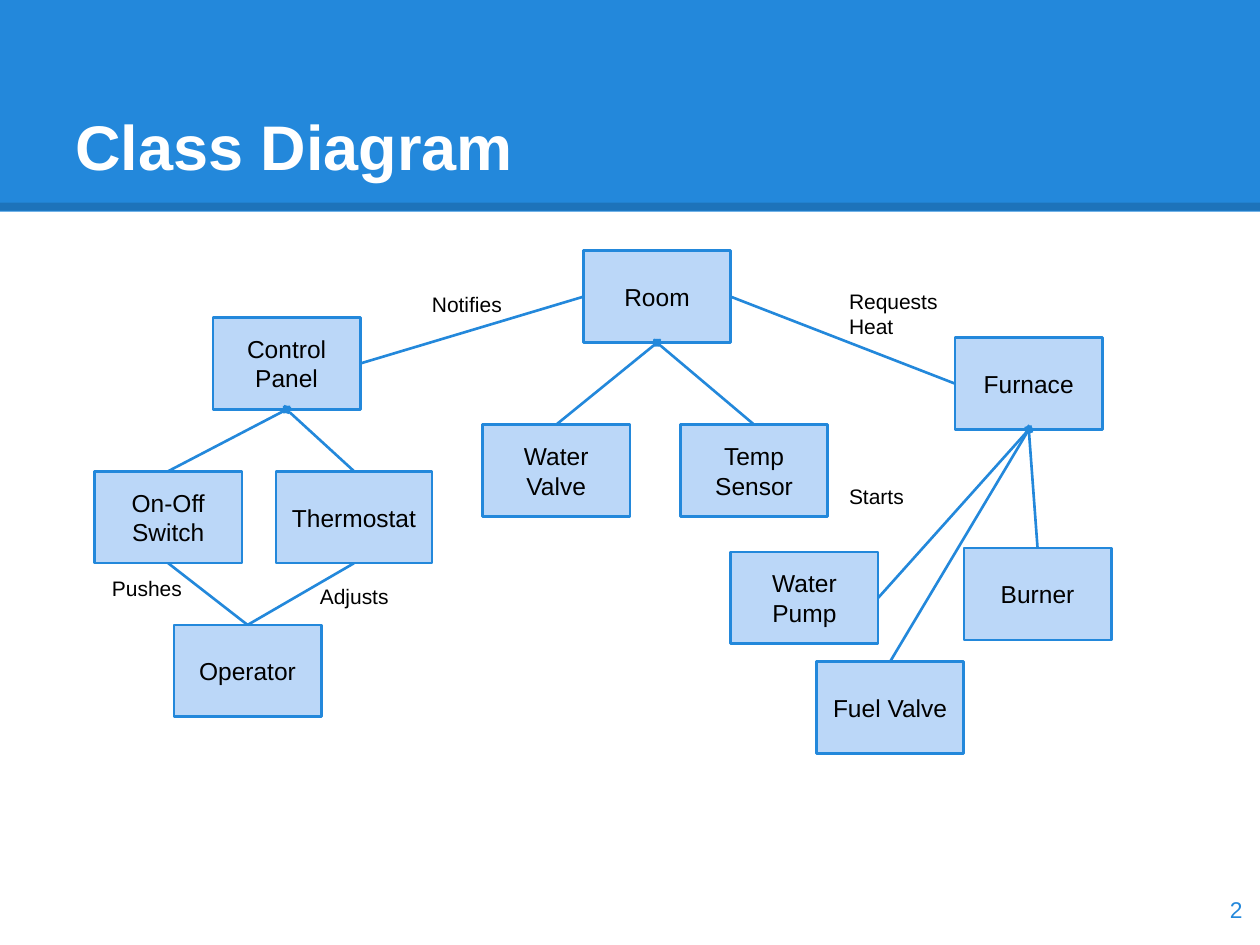
from lxml.etree import SubElement
from pptx import Presentation
from pptx.dml.color import RGBColor
from pptx.enum.shapes import MSO_CONNECTOR as Connector, MSO_SHAPE as Shape
from pptx.enum.text import MSO_ANCHOR as Anchor, PP_ALIGN as Align
from pptx.oxml.ns import qn
from pptx.util import Inches, Pt

WIDTH, HEIGHT = 10, 7.5
BLUE, PALE, BLACK, WHITE = "2388DB", "BBD7F8", "000000", "FFFFFF"
BOX_W, WIDE_W, BOX_H = 1.17, 1.24, 0.73
LABEL_W, LABEL_H = 0.94, 0.49
TOP, LEFT, BOTTOM, RIGHT = range(4)  # connection sites of a rectangle

# Classes: name, left, top, width
CLASSES = [
    ("Control Panel", 1.69, 2.52, BOX_W),
    ("On-Off Switch", 0.75, 3.74, BOX_W),
    ("Thermostat", 2.19, 3.74, WIDE_W),
    ("Room", 4.63, 1.99, BOX_W),
    ("Operator", 1.38, 4.96, BOX_W),
    ("Furnace", 7.58, 2.68, BOX_W),
    ("Water Pump", 5.8, 4.38, BOX_W),
    ("Burner", 7.65, 4.35, BOX_W),
    ("Fuel Valve", 6.48, 5.25, BOX_W),
    ("Temp Sensor", 5.4, 3.37, BOX_W),
    ("Water Valve", 3.83, 3.37, BOX_W),
]

# Whole and its parts, joined with a diamond at the whole
PARTS = {
    "Room": ["Water Valve", "Temp Sensor"],
    "Furnace": ["Fuel Valve", "Burner"],
    "Control Panel": ["On-Off Switch", "Thermostat"],
}

# Plain associations: class, site, class, site
ASSOCIATIONS = [
    ("Operator", TOP, "On-Off Switch", BOTTOM),
    ("Operator", TOP, "Thermostat", BOTTOM),
    ("Control Panel", RIGHT, "Room", LEFT),
    ("Room", RIGHT, "Furnace", LEFT),
    ("Water Pump", RIGHT, "Furnace", BOTTOM),
]

# Association labels: text, left, top
LABELS = [
    ("Pushes", 0.79, 4.47),
    ("Adjusts", 2.44, 4.53),
    ("Notifies", 3.33, 2.21),
    ("Requests Heat", 6.64, 2.19),
    ("Starts", 6.64, 3.74),
]


def color(value):
    return RGBColor.from_string(value)


def write(shape, text, size, ink=BLACK, bold=False, align=Align.LEFT, anchor=Anchor.TOP):
    frame = shape.text_frame
    layout = dict(word_wrap=True, vertical_anchor=anchor)
    layout |= {f"margin_{side}": Inches(0.1) for side in ("left", "top", "right", "bottom")}
    for key, value in layout.items():
        setattr(frame, key, value)
    paragraph = frame.paragraphs[0]
    paragraph.alignment = align
    run = paragraph.add_run()
    run.text = text
    for key, value in dict(name="Arial", size=Pt(size), bold=bold).items():
        setattr(run.font, key, value)
    run.font.color.rgb = color(ink)


def add_text(slide, area, text, size, **style):
    write(slide.shapes.add_textbox(*map(Inches, area)), text, size, **style)


def add_rect(slide, area, fill):
    rect = slide.shapes.add_shape(Shape.RECTANGLE, *map(Inches, area))
    rect.shadow.inherit = False
    rect.fill.solid()
    rect.fill.fore_color.rgb = color(fill)
    rect.line.fill.background()
    return rect


def add_line(slide, ink=BLUE, weight=1.5, ends=(0, 0, 0, 0)):
    line = slide.shapes.add_connector(Connector.STRAIGHT, *map(Inches, ends))
    line.line.color.rgb = color(ink)
    line.line.width = Pt(weight)
    SubElement(line._element.spPr, qn("a:effectLst"))
    return line


def join(slide, boxes, start, start_site, end, end_site):
    line = add_line(slide)
    line.begin_connect(boxes[start], start_site)
    line.end_connect(boxes[end], end_site)
    return line


def main():
    deck = Presentation()
    deck.slide_width, deck.slide_height = Inches(WIDTH), Inches(HEIGHT)
    slide = deck.slides.add_slide(deck.slide_layouts[6])

    # Title band with a translucent dark edge
    add_rect(slide, (0, 0, WIDTH, 1.68), BLUE)
    edge = add_line(slide, BLACK, 4.5, (0, 1.64, WIDTH, 1.64))
    ink = edge.line._ln.find(".//" + qn("a:srgbClr"))
    SubElement(ink, qn("a:alpha"), val="15000")
    add_text(slide, (0.5, 0.3, 9, 1.25), "Class Diagram", 36,
             ink=WHITE, bold=True, anchor=Anchor.BOTTOM)

    # Class boxes
    boxes = {}
    for name, left, top, width in CLASSES:
        box = boxes[name] = add_rect(slide, (left, top, width, BOX_H), PALE)
        box.line.color.rgb = color(BLUE)
        box.line.width = Pt(1.5)
        write(box, name, 14, align=Align.CENTER, anchor=Anchor.MIDDLE)

    # Aggregations and associations
    for whole, parts in PARTS.items():
        for part in parts:
            line = join(slide, boxes, part, TOP, whole, BOTTOM)
            SubElement(line.line._ln, qn("a:tailEnd"), type="diamond")
    for association in ASSOCIATIONS:
        join(slide, boxes, *association)
    for label, left, top in LABELS:
        add_text(slide, (left, top, LABEL_W, LABEL_H), label, 12)

    # Slide number
    add_text(slide, (9.36, 6.93, 0.6, 0.57), "2", 13,
             ink=BLUE, align=Align.RIGHT, anchor=Anchor.MIDDLE)
    deck.save("out.pptx")


if __name__ == "__main__":
    main()
